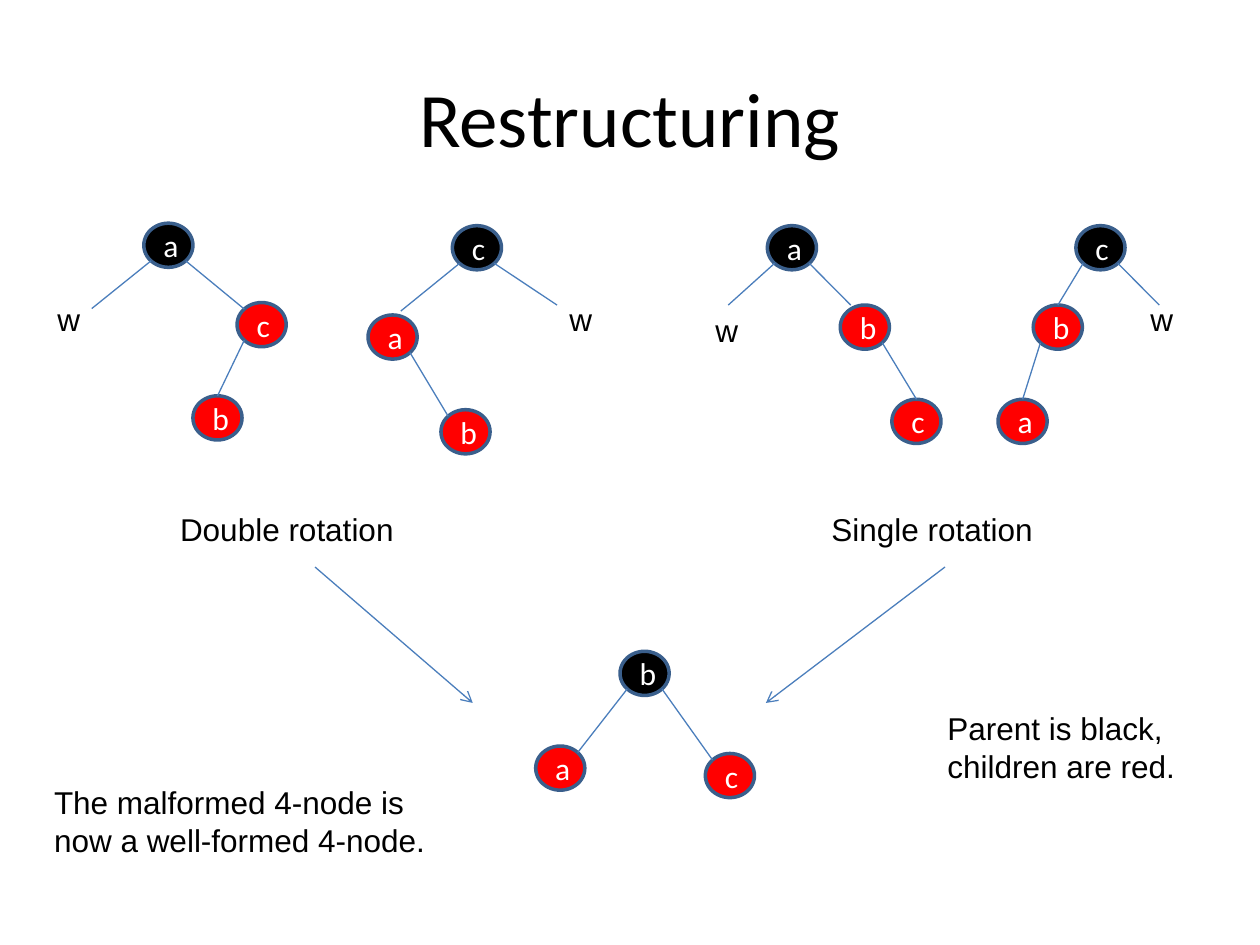
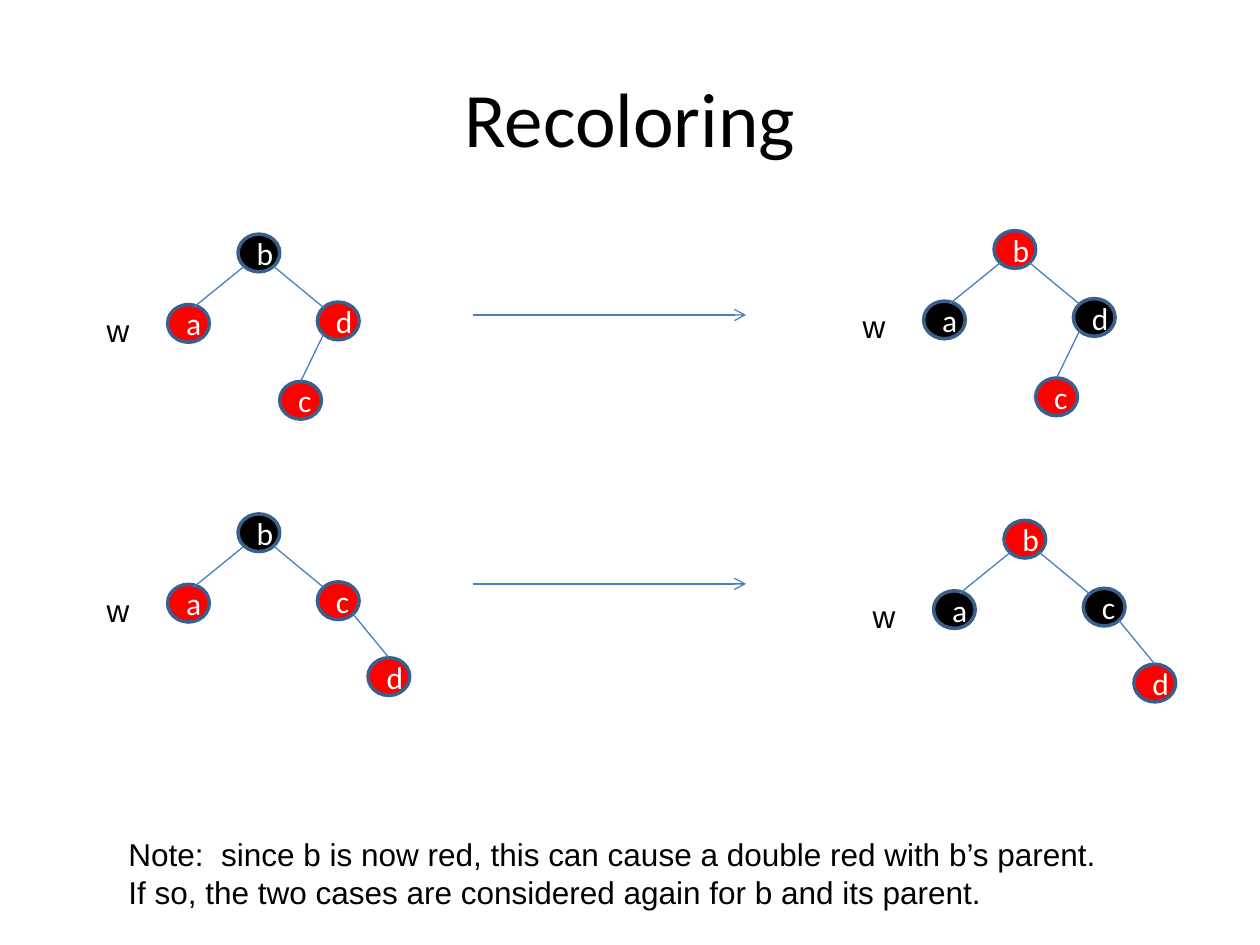
"""Build two slides on restructuring and recoloring red-black trees."""
import dataclasses

import lxml.etree
import pptx
import pptx.dml.color
import pptx.enum.shapes
import pptx.enum.text
import pptx.oxml.ns
import pptx.util

Cm = pptx.util.Cm
Pt = pptx.util.Pt
qn = pptx.oxml.ns.qn
ALIGN = pptx.enum.text.PP_ALIGN
ANCHOR = pptx.enum.text.MSO_ANCHOR


@dataclasses.dataclass(frozen=True)
class Theme:
    black: str = "000000"
    red: str = "FF0000"
    white: str = "FFFFFF"
    outline: str = "3A5F8C"
    edge: str = "4B7EBC"
    heading_font: str = "Calibri"
    text_font: str = "Arial"
    title_size: int = 44
    text_size: int = 18
    outline_width: float = 2
    edge_width: float = 0.75


THEME = Theme()
BIG_NODE = (0.99, 0.89)
SMALL_NODE = (0.84, 0.76)
DIAGONAL = 0.5 ** 0.5
SIDES = {
    "top": (0, -1),
    "upper left": (-DIAGONAL, -DIAGONAL),
    "upper right": (DIAGONAL, -DIAGONAL),
    "lower left": (-DIAGONAL, DIAGONAL),
    "lower right": (DIAGONAL, DIAGONAL),
}


def rgb(value):
    return pptx.dml.color.RGBColor.from_string(value)


def write(frame, text, font=THEME.text_font, size=THEME.text_size,
          color=THEME.black, align=ALIGN.LEFT, anchor=ANCHOR.TOP):
    frame.vertical_anchor = anchor
    for index, line in enumerate(text.split("\n")):
        para = frame.add_paragraph() if index else frame.paragraphs[0]
        para.alignment = align
        span = para.add_run()
        span.text = line
        span.font.name = font
        span.font.size = Pt(size)
        span.font.color.rgb = rgb(color)


class Painter:
    def __init__(self, deck, theme):
        self.deck = deck
        self.theme = theme
        self.page = None
        self.shapes = None

    def start_page(self, title):
        self.page = self.deck.slides.add_slide(self.deck.slide_layouts[5])
        self.shapes = self.page.shapes
        box = self.page.shapes.title
        box.left, box.top, box.width, box.height = map(Cm, (1.27, 0.76, 22.86, 3.18))
        write(box.text_frame, title, font=self.theme.heading_font,
              size=self.theme.title_size, align=ALIGN.CENTER, anchor=ANCHOR.MIDDLE)

    def node(self, label, left, top, size, color):
        oval = self.shapes.add_shape(pptx.enum.shapes.MSO_SHAPE.OVAL,
                                     *map(Cm, (left, top, *size)))
        oval.shadow.inherit = False
        oval.fill.solid()
        oval.fill.fore_color.rgb = rgb(color)
        oval.line.color.rgb = rgb(self.theme.outline)
        oval.line.width = Pt(self.theme.outline_width)
        write(oval.text_frame, label, font=self.theme.heading_font,
              color=self.theme.white, align=ALIGN.CENTER, anchor=ANCHOR.MIDDLE)

    def line(self, start, end, arrow=False):
        link = self.shapes.add_connector(pptx.enum.shapes.MSO_CONNECTOR.STRAIGHT,
                                         *map(Cm, (*start, *end)))
        link.line.color.rgb = rgb(self.theme.edge)
        link.line.width = Pt(self.theme.edge_width)
        properties = link.element.spPr
        if arrow:
            stroke = properties.find(qn("a:ln"))
            lxml.etree.SubElement(stroke, qn("a:tailEnd"), type="arrow")
        lxml.etree.SubElement(properties, qn("a:effectLst"))

    def label(self, text, left, top, width=0.97, height=1.02):
        box = self.shapes.add_textbox(*map(Cm, (left, top, width, height)))
        box.text_frame.word_wrap = False
        box.text_frame.auto_size = pptx.enum.text.MSO_AUTO_SIZE.SHAPE_TO_FIT_TEXT
        write(box.text_frame, text)

    def tree(self, nodes, edges, black, size=BIG_NODE, outer=None, grouped=False):
        """Draw nodes, edges from a node side to a node side or point, and the w label."""
        if grouped:
            self.shapes = self.page.shapes.add_group_shape().shapes
        for name, (left, top) in nodes.items():
            color = self.theme.black if name in black else self.theme.red
            self.node(name, left, top, size, color)

        def locate(name, side):
            if not isinstance(name, str):
                return name, side
            return tuple(corner + length * (1 + shift) / 2 for corner, length, shift
                         in zip(nodes[name], size, SIDES[side]))

        for start, end in edges:
            self.line(locate(*start), locate(*end))
        if outer:
            self.label("w", *outer)
        self.shapes = self.page.shapes


def restructuring(painter):
    painter.start_page("Restructuring")
    painter.tree(
        {"a": (2.9, 4.5), "c": (4.78, 6.1), "b": (3.89, 7.98)},
        [(("a", "lower left"), (1.85, 6.22)),
         (("a", "lower right"), ("c", "upper left")),
         (("c", "lower left"), ("b", "top"))],
        black="a", outer=(0.91, 5.92))
    painter.tree(
        {"c": (9.12, 4.55), "a": (7.42, 6.35), "b": (8.89, 8.26)},
        [(("c", "lower left"), (8.08, 6.27)),
         (("c", "lower right"), (11.23, 6.15)),
         (("a", "lower right"), ("b", "upper left"))],
        black="c", outer=(11.23, 5.92))
    painter.tree(
        {"a": (15.47, 4.55), "b": (16.94, 6.15), "c": (17.98, 8.05)},
        [(("a", "lower left"), (14.68, 6.15)),
         (("a", "lower right"), (17.15, 6.15)),
         (("b", "lower right"), ("c", "top"))],
        black="a", outer=(14.17, 6.15))
    painter.tree(
        {"c": (21.69, 4.55), "b": (20.83, 6.15), "a": (20.12, 8.05)},
        [(("c", "lower left"), ("b", "top")),
         (("c", "lower right"), (23.37, 6.15)),
         (("b", "lower left"), ("a", "top"))],
        black="c", outer=(22.94, 5.92))
    painter.tree(
        {"b": (12.5, 13.13), "a": (10.8, 15.04), "c": (14.22, 15.19)},
        [(("b", "lower left"), ("a", "upper right")),
         (("b", "lower right"), ("c", "upper left"))],
        black="b")
    painter.label("Double rotation", 3.38, 10.16, 4.85)
    painter.label("Single rotation", 16.51, 10.16, 4.6)
    painter.line((6.35, 11.43), (9.53, 14.17), arrow=True)
    painter.line((19.05, 11.43), (15.44, 14.17), arrow=True)
    painter.label("Parent is black,\nchildren are red.", 18.85, 14.17, 5.28, 1.8)
    painter.label("The malformed 4-node is\nnow a well-formed 4-node.",
                  0.84, 15.67, 8.08, 1.8)


def recolor_tree(painter, left, top, child, leaf, leaf_shift, leaf_side, recolored):
    def at(across, down):
        return left + across, top + down

    painter.tree(
        {"b": at(0, 0), child: at(1.6, 1.37), leaf: at(*leaf_shift),
         "a": at(-1.42, 1.42)},
        [(("b", "lower left"), at(-0.89, 1.47)),
         (("b", "lower right"), (child, "upper left")),
         ((child, leaf_side), (leaf, "top"))],
        black="a" + child if recolored else "b",
        size=SMALL_NODE, outer=at(-2.9, 1.42), grouped=not recolored)


def recoloring(painter):
    painter.start_page("Recoloring")
    cases = [
        ("d", "c", (0.84, 2.97), "lower left", (4.8, 4.72), (20.04, 4.65), 6.35),
        ("c", "d", (2.62, 2.9), "lower right", (4.8, 10.36), (20.24, 10.49), 11.77),
    ]
    for child, leaf, shift, side, before, after, middle in cases:
        recolor_tree(painter, *before, child, leaf, shift, side, recolored=False)
        painter.line((9.53, middle), (15.04, middle), arrow=True)
        recolor_tree(painter, *after, child, leaf, shift, side, recolored=True)
    painter.label("Note:  since b is now red, this can cause a double red with b’s parent.\n"
                  "If so, the two cases are considered again for b and its parent.",
                  2.34, 16.71, 20.19, 1.8)


def main():
    deck = pptx.Presentation()
    deck.slide_width, deck.slide_height = Cm(25.4), Cm(19.05)
    painter = Painter(deck, THEME)
    restructuring(painter)
    recoloring(painter)
    deck.save("out.pptx")


main()
